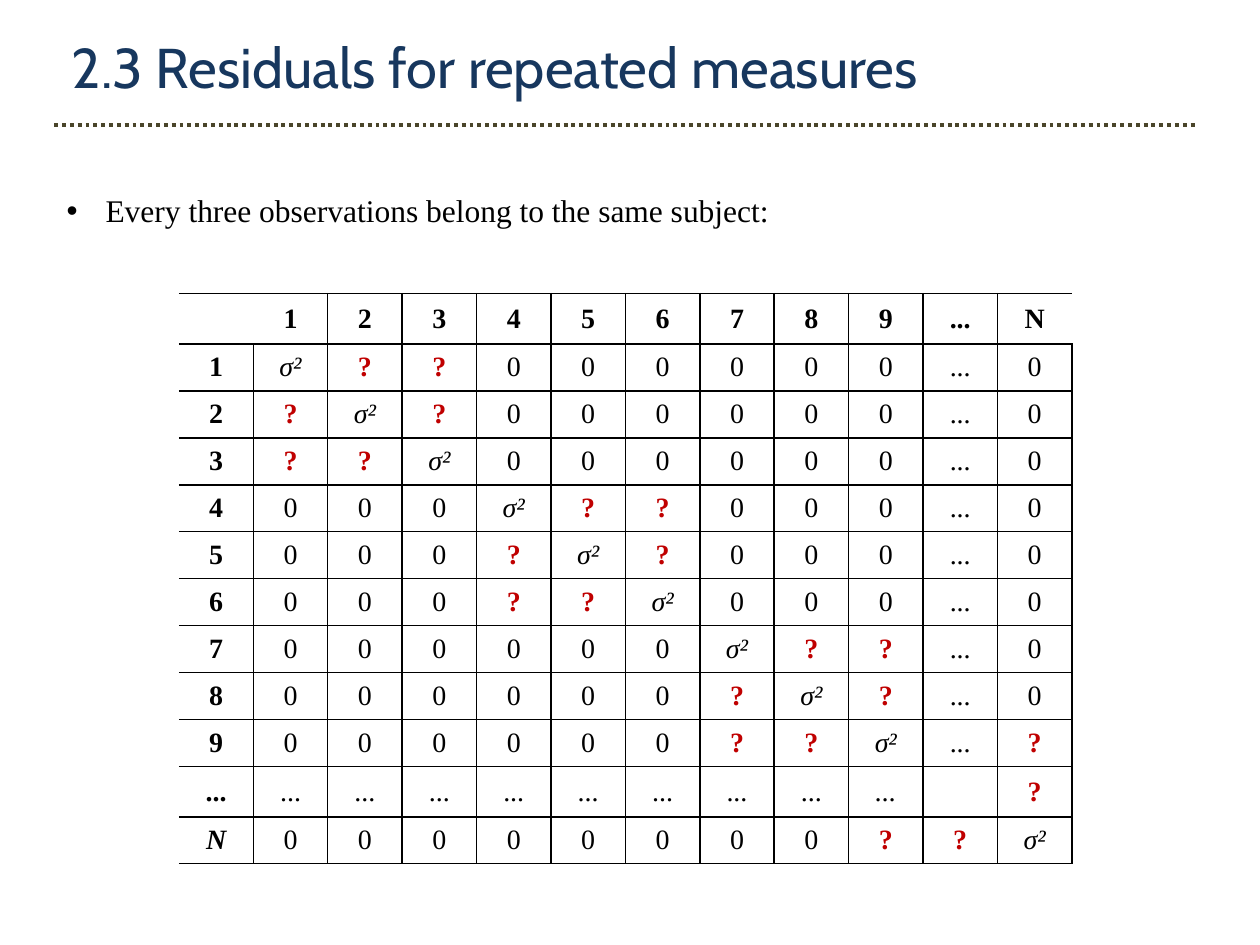
import pptx
import pptx.dml.color
import pptx.enum.dml
import pptx.enum.shapes
import pptx.enum.text
import pptx.oxml
import pptx.oxml.ns
import pptx.util
from lxml import etree

Inches = pptx.util.Inches
Pt = pptx.util.Pt

COLORS = {"title": "17375E", "rule": "4A452A", "text": "000000", "unknown": "C00000"}
BODY_FONT = "Times New Roman"
LABELS = [str(n) for n in range(1, 10)] + ["...", "N"]
DOTS, LAST = 9, 10  # positions of the "..." and N labels
BLOCK = 3           # observations per subject


def rgb(name):
    return pptx.dml.color.RGBColor.from_string(COLORS[name])


def set_font(font, color, **values):
    for key, value in values.items():
        setattr(font, key, value)
    font.color.rgb = rgb(color)


def add_title(s, text):
    sp = s.shapes.title
    place = {"left": 0.47, "top": 0.21, "width": 9.18, "height": 0.63}
    for key, value in place.items():
        setattr(sp, key, Inches(value))
    tf = sp.text_frame
    tf.text = text
    tf.auto_size = pptx.enum.text.MSO_AUTO_SIZE.NONE
    tf.vertical_anchor = pptx.enum.text.MSO_ANCHOR.MIDDLE
    p = tf.paragraphs[0]
    p.alignment = pptx.enum.text.PP_ALIGN.LEFT
    set_font(p.runs[0].font, "title", name="Cabin", size=Pt(32))


def add_rule(s, left, right, y):
    line = s.shapes.add_connector(pptx.enum.shapes.MSO_CONNECTOR.STRAIGHT,
                                  Inches(left), Inches(y), Inches(right), Inches(y))
    line.line.color.rgb = rgb("rule")
    line.line.width = Pt(2.25)
    line.line.dash_style = pptx.enum.dml.MSO_LINE.ROUND_DOT
    etree.SubElement(line._element.spPr, pptx.oxml.ns.qn("a:effectLst"))


def add_bullet(s, text, left, top, width, height):
    sp = s.shapes.add_textbox(Inches(left), Inches(top), Inches(width), Inches(height))
    tf = sp.text_frame
    tf.word_wrap = True
    p = tf.paragraphs[0]
    pPr = p._p.get_or_add_pPr()
    pPr.set("marL", str(Inches(0.31)))
    pPr.set("indent", str(-Inches(0.31)))
    font = etree.SubElement(pPr, pptx.oxml.ns.qn("a:buFont"))
    font.set("typeface", "Arial")
    bullet = etree.SubElement(pPr, pptx.oxml.ns.qn("a:buChar"))
    bullet.set("char", "•")
    r = p.add_run()
    r.text = text
    set_font(r.font, "text", name=BODY_FONT, size=Pt(18))


def covariance(i, j):
    """Entry of the residual matrix for observations i and j."""
    if i == j:
        return "" if i == DOTS else "σ²"
    pair = {i, j}
    if pair == {DOTS - 1, LAST} or (i, j) in ((DOTS, LAST), (LAST, DOTS)):
        return "?"
    if DOTS in pair:
        return "..."
    if LAST in pair:
        return "0"
    return "?" if i // BLOCK == j // BLOCK else "0"


def set_borders(cell, sides):
    """Draw the sides named in the string (of L, R, T, B) and clear the others."""
    tcPr = cell._tc.get_or_add_tcPr()
    for n, side in enumerate("LRTB"):
        ln = pptx.oxml.parse_xml(
            f'<a:ln{side} {pptx.oxml.ns.nsdecls("a")} w="{Pt(0.96)}"/>')
        if side in sides:
            fill = etree.SubElement(ln, pptx.oxml.ns.qn("a:solidFill"))
            color = etree.SubElement(fill, pptx.oxml.ns.qn("a:srgbClr"))
            color.set("val", COLORS["text"])
        else:
            etree.SubElement(ln, pptx.oxml.ns.qn("a:noFill"))
        tcPr.insert(n, ln)


def cell_sides(row, col):
    """The table is open on the left, beside the header and at its corner."""
    sides = "TB"
    if col > (1 if row == 0 else 0):
        sides += "L"
    if (row > 0 or col > 0) and (row, col) != (0, LAST + 1):
        sides += "R"
    return sides


def fill_cell(cell, text, bold, italic):
    cell.fill.background()
    cell.vertical_anchor = pptx.enum.text.MSO_ANCHOR.MIDDLE
    p = cell.text_frame.paragraphs[0]
    p.alignment = pptx.enum.text.PP_ALIGN.CENTER
    if text:
        r = p.add_run()
        r.text = text
        set_font(r.font, "unknown" if text == "?" else "text",
                 name=BODY_FONT, size=Pt(16), bold=bold, italic=italic)


def add_matrix(s, left, top, width, height):
    size = len(LABELS) + 1
    table = s.shapes.add_table(size, size, Inches(left), Inches(top),
                               Inches(width), Inches(height)).table
    table.first_row = table.horz_banding = False
    for row in range(size):
        for col in range(size):
            if row and col:
                text = covariance(row - 1, col - 1)
            else:
                text = LABELS[row + col - 1] if row + col else ""
            bold = text == "?" or not (row and col)
            italic = (text == "σ²" or (row, col) == (LAST + 1, 0)
                      or (row, col) == (DOTS + 1, DOTS))
            cell = table.cell(row, col)
            fill_cell(cell, text, bold, italic)
            set_borders(cell, cell_sides(row, col))


def main():
    prs = pptx.Presentation()
    prs.slide_width, prs.slide_height = Inches(10), Inches(7.5)
    s = prs.slides.add_slide(prs.slide_layouts[5])

    # Heading
    add_title(s, "2.3 Residuals for repeated measures")
    add_rule(s, 0.43, 9.49, 0.99)

    # Statement and residual matrix
    add_bullet(s, "Every three observations belong to the same subject:",
               0.43, 1.47, 9.06, 0.4)
    add_matrix(s, 1.42, 2.33, 7.09, 4.47)

    prs.save("out.pptx")


if __name__ == "__main__":
    main()
